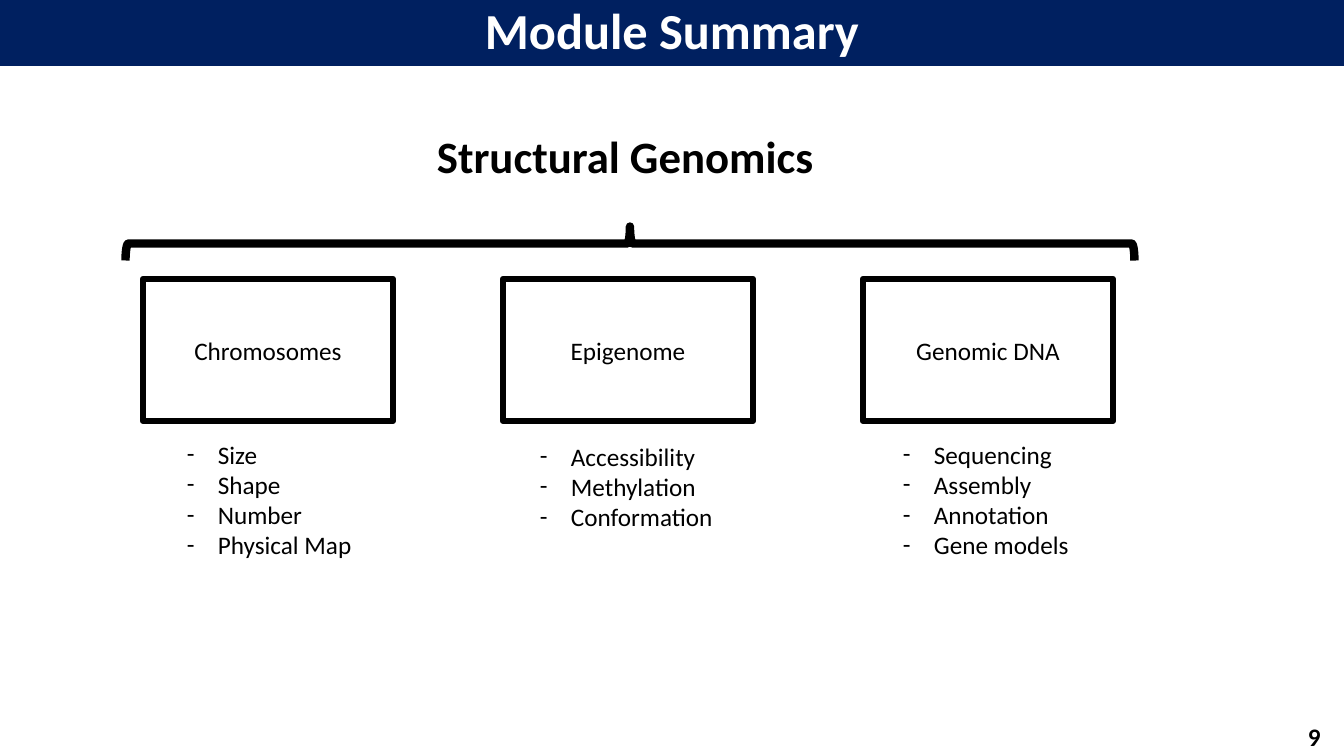
from lxml import etree
from pptx import Presentation
from pptx.dml.color import RGBColor
from pptx.enum.shapes import MSO_SHAPE
from pptx.enum.text import MSO_ANCHOR, PP_ALIGN
from pptx.oxml.ns import qn
from pptx.util import Pt

EMU_PER_PX = 914400 / 100.8
SLIDE_WIDTH, SLIDE_HEIGHT = 1344, 756
FONT = "Calibri"
COLORS = {"navy": "002060", "white": "FFFFFF", "black": "000000"}

RECTANGLE, BRACE = MSO_SHAPE.RECTANGLE, MSO_SHAPE.RIGHT_BRACE
LEFT, CENTER = PP_ALIGN.LEFT, PP_ALIGN.CENTER
TOP, MIDDLE, BOTTOM = MSO_ANCHOR.TOP, MSO_ANCHOR.MIDDLE, MSO_ANCHOR.BOTTOM

BOX_LEFT, BOX_STEP, BOX_TOP, BOX_WIDTH, BOX_HEIGHT = 143, 360, 279, 250, 142
BULLET_INDENT = 31
# Topic, list position and size, list items
TOPICS = [
    ("Chromosomes", (177, 434, 186, 163), ["Size", "Shape", "Number", "Physical Map"]),
    ("Epigenome", (530, 436, 196, 132), ["Accessibility", "Methylation", "Conformation"]),
    ("Genomic DNA", (893, 434, 188, 163), ["Sequencing", "Assembly", "Annotation", "Gene models"]),
]


def px(value):
    return round(value * EMU_PER_PX)


def color(name):
    return RGBColor.from_string(COLORS[name])


def add_dash(paragraph):
    """Give the paragraph a hanging dash bullet."""
    properties = paragraph._p.get_or_add_pPr()
    properties.set("marL", str(px(BULLET_INDENT)))
    properties.set("indent", str(px(-BULLET_INDENT)))
    etree.SubElement(properties, qn("a:buFont")).set("typeface", FONT)
    etree.SubElement(properties, qn("a:buChar")).set("char", "-")


def write_text(shape, lines, size=18, ink="black", bold=False, align=LEFT,
               anchor=TOP, wrap=True, spacing=None, dashes=False):
    frame = shape.text_frame
    frame.word_wrap = wrap
    frame.vertical_anchor = anchor
    for index, line in enumerate(lines):
        paragraph = frame.paragraphs[0] if index == 0 else frame.add_paragraph()
        paragraph.alignment = align
        if spacing:
            paragraph.line_spacing = spacing
        if dashes:
            add_dash(paragraph)
        run = paragraph.add_run()
        run.text = line
        run.font.name = FONT
        run.font.size = Pt(size)
        run.font.bold = bold
        run.font.color.rgb = color(ink)


def add_shape(slide, kind, box, line, line_width, fill=None):
    shape = slide.shapes.add_shape(kind, *map(px, box))
    shape.shadow.inherit = False
    if fill:
        shape.fill.solid()
        shape.fill.fore_color.rgb = color(fill)
    else:
        shape.fill.background()
    shape.line.color.rgb = color(line)
    shape.line.width = Pt(line_width)
    return shape


def add_text(slide, box, lines, **text_format):
    write_text(slide.shapes.add_textbox(*map(px, box)), lines, **text_format)


def add_title_bar(slide, title):
    bar = add_shape(slide, RECTANGLE, (0, 0, SLIDE_WIDTH, 65), "navy", 2.25, fill="navy")
    write_text(bar, [title], size=36, ink="white", bold=True, align=CENTER,
               anchor=BOTTOM, spacing=0.9)


def add_topic(slide, index, topic, list_box, items):
    box = (BOX_LEFT + index * BOX_STEP, BOX_TOP, BOX_WIDTH, BOX_HEIGHT)
    rectangle = add_shape(slide, RECTANGLE, box, "black", 4.5)
    write_text(rectangle, [topic], align=CENTER, anchor=MIDDLE)
    add_text(slide, list_box, items, wrap=False, dashes=True)


def main():
    presentation = Presentation()
    presentation.slide_width = px(SLIDE_WIDTH)
    presentation.slide_height = px(SLIDE_HEIGHT)
    slide = presentation.slides.add_slide(presentation.slide_layouts[6])

    add_title_bar(slide, "Module Summary")
    add_text(slide, (1298, 716, 33, 40), ["9"], bold=True, wrap=False)
    add_text(slide, (427, 124, 400, 65), ["Structural Genomics"], size=32, bold=True, wrap=False)
    brace = add_shape(slide, BRACE, (613, -261, 34, 1009), "black", 6)
    brace.rotation = 270
    for index, (topic, list_box, items) in enumerate(TOPICS):
        add_topic(slide, index, topic, list_box, items)

    presentation.save("out.pptx")


if __name__ == "__main__":
    main()
